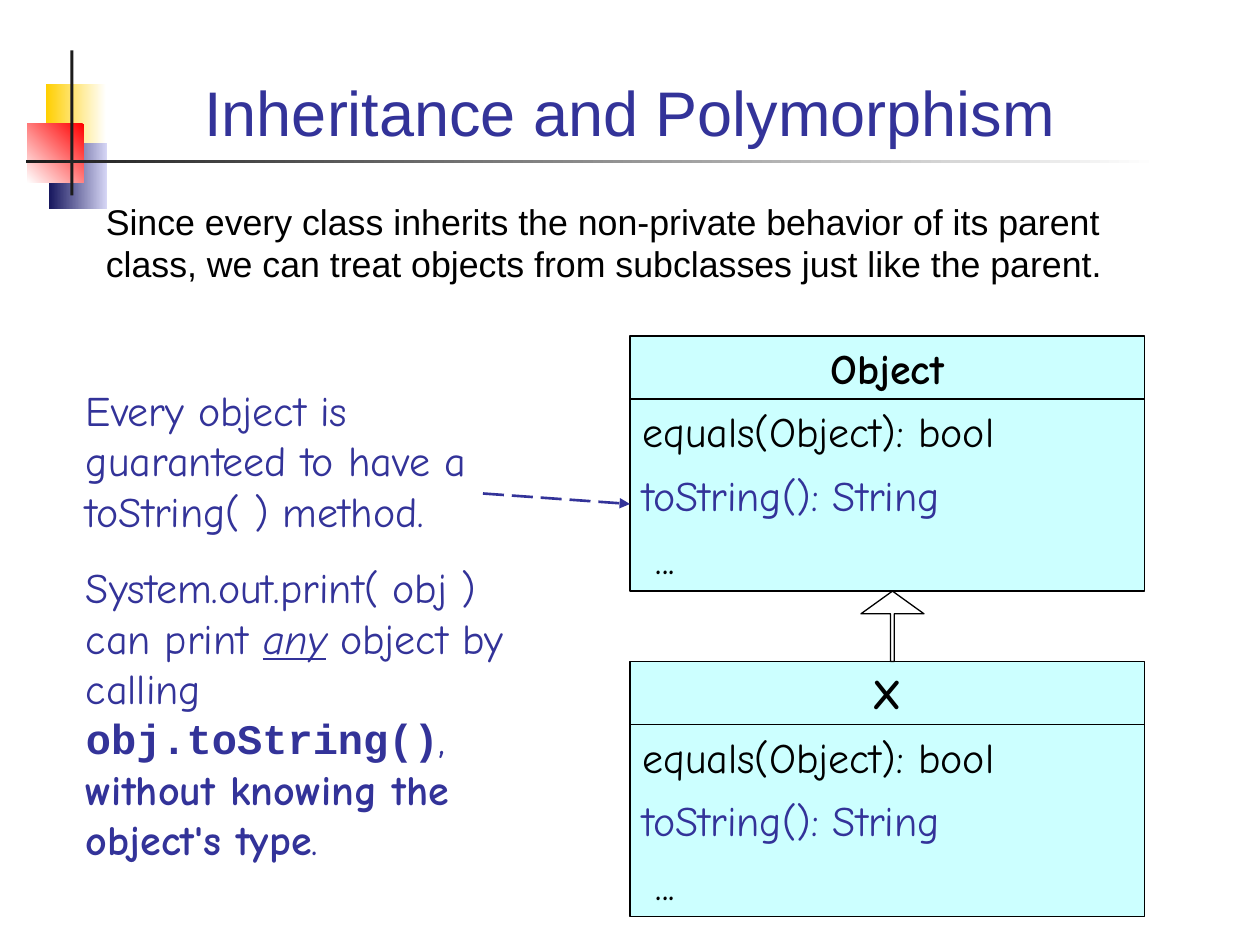
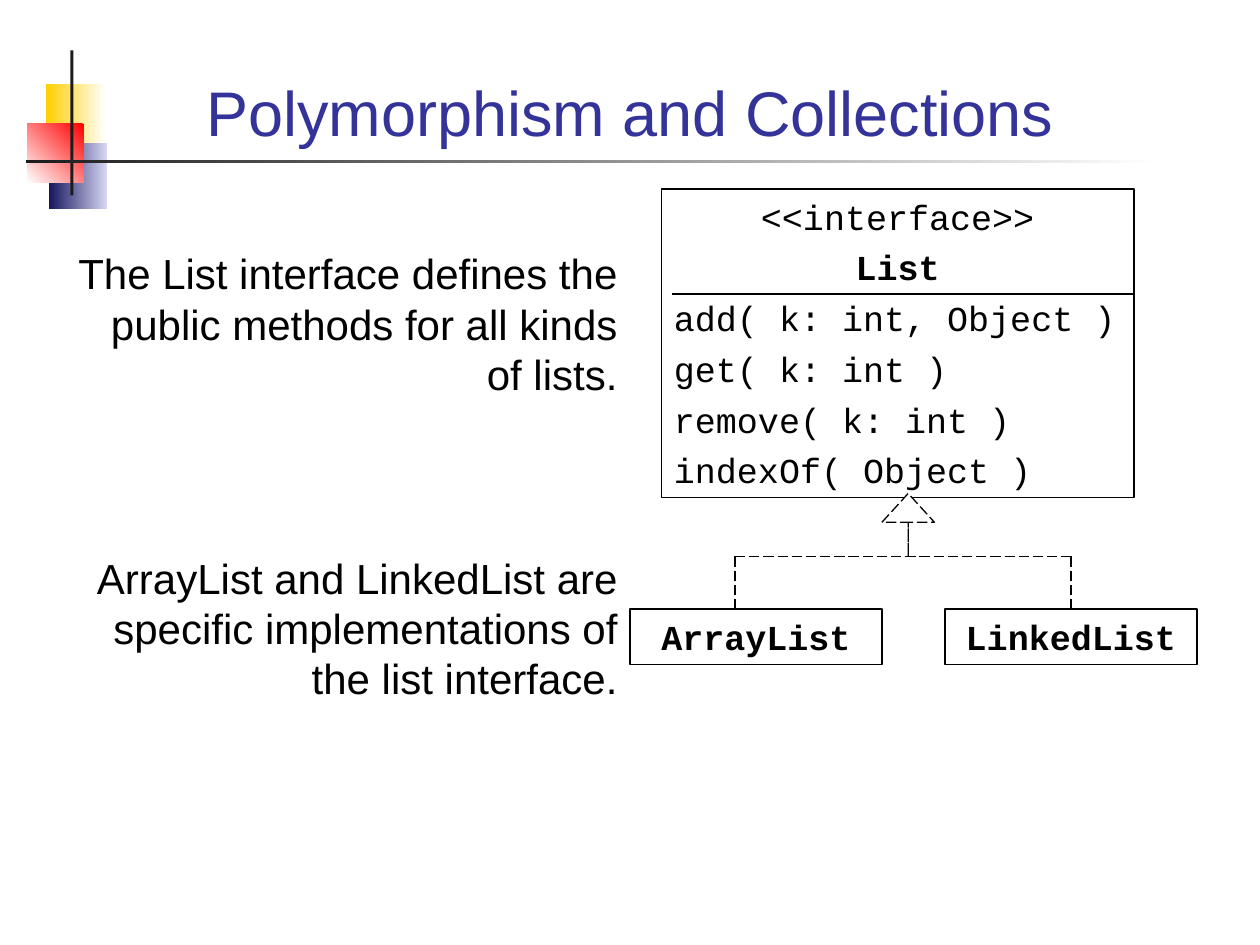
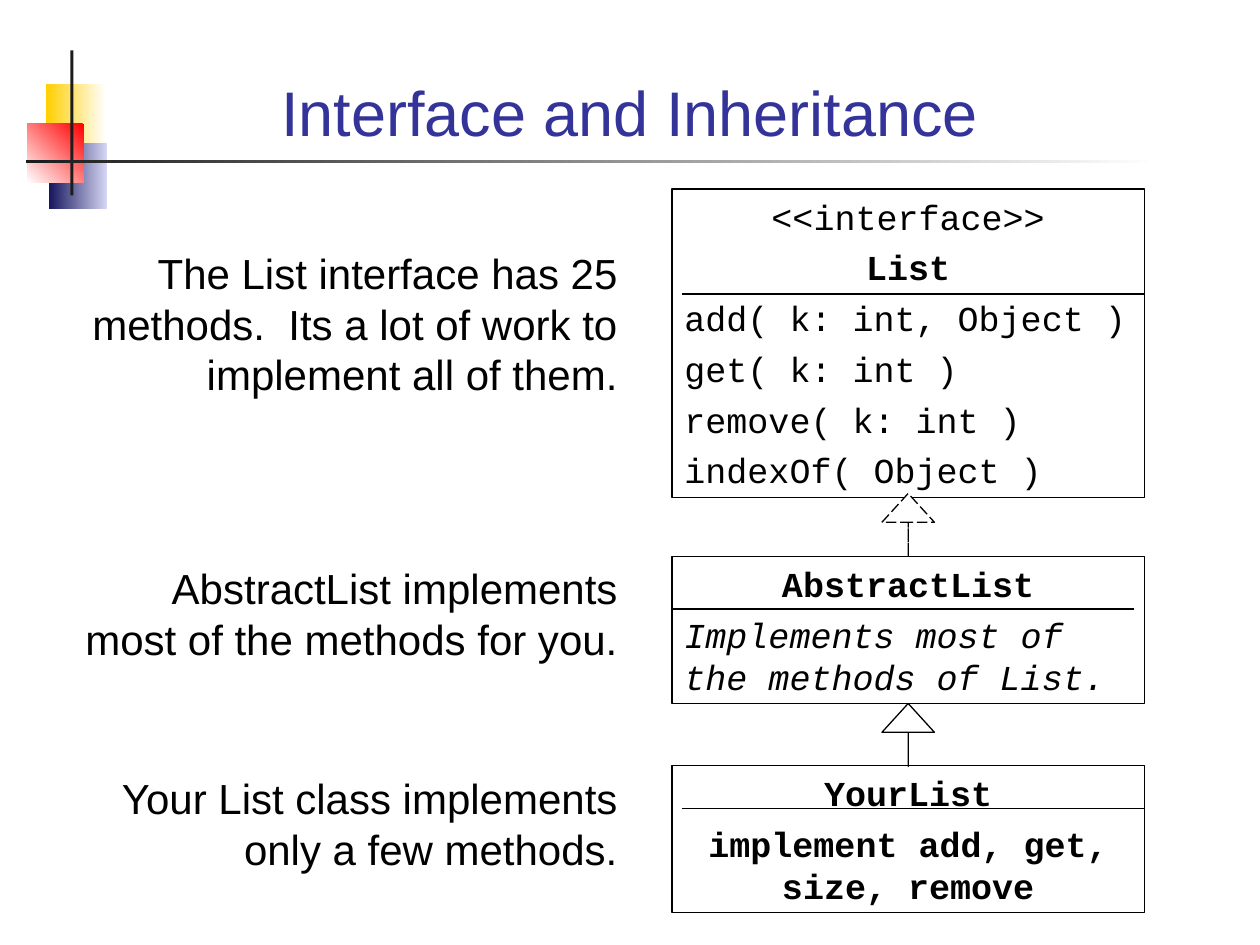
"""Build three slides on inheritance, interfaces and polymorphism."""
from collections import namedtuple
from lxml.etree import SubElement
from pptx import Presentation
from pptx.dml.color import RGBColor
from pptx.enum.dml import MSO_LINE
from pptx.enum.shapes import MSO_CONNECTOR, MSO_SHAPE
from pptx.enum.text import MSO_ANCHOR, MSO_AUTO_SIZE, PP_ALIGN
from pptx.oxml.ns import qn
from pptx.util import Pt

PX = 7620
Theme = namedtuple("Theme", "ink navy aqua white coal gold red blue pale sans hand mono head large small code lead")
look = Theme(
    ink="000000", navy="333399", aqua="CCFFFF", white="FFFFFF", coal="1C1C1C",
    gold="FFCF01", red="FF0000", blue="17175E", pale="D6D6F5",
    sans="Arial", hand="Comic Neue", mono="Courier New",
    head=36, large=24, small=20.4, code=20, lead=1.2,
)
LEFT, MID, RIGHT = PP_ALIGN.LEFT, PP_ALIGN.CENTER, PP_ALIGN.RIGHT


def draw(slide, area, fill=None, width=0, kind=MSO_SHAPE.RECTANGLE):
    """Add a flat shape with an optional fill and black outline."""
    shape = slide.shapes.add_shape(kind, *[n * PX for n in area])
    shape.shadow.inherit = False
    if fill:
        shape.fill.solid()
        shape.fill.fore_color.rgb = RGBColor.from_string(fill)
    else:
        shape.fill.background()
    if width:
        shape.line.width = Pt(width)
        shape.line.color.rgb = RGBColor.from_string(look.ink)
    else:
        shape.line.fill.background()
    return shape


def write(shape, text, face, size, tint=look.ink, align=LEFT, gap=0):
    """Fill a shape with evenly styled paragraphs and return them."""
    frame = shape.text_frame
    frame.text = text
    frame.word_wrap = True
    frame.auto_size = MSO_AUTO_SIZE.NONE
    frame.vertical_anchor = MSO_ANCHOR.TOP
    for i, para in enumerate(frame.paragraphs):
        para.alignment = align
        para.line_spacing = Pt(size * look.lead)
        para.space_before = Pt(gap if i else 0)
        para.font.name, para.font.size = face, Pt(size)
        for run in para.runs:
            run.font.name, run.font.size = face, Pt(size)
            run.font.color.rgb = RGBColor.from_string(tint)
    return frame.paragraphs


deck = Presentation()
deck.slide_width, deck.slide_height = 1200 * PX, 900 * PX
plan = deck.slide_layouts[5]
for spare in list(plan.placeholders)[1:]:
    spare.element.getparent().remove(spare.element)

pages = []
for name in ("Inheritance and Polymorphism", "Polymorphism and Collections", "Interface and Inheritance"):
    page = deck.slides.add_slide(plan)
    title = page.shapes.title
    title.left, title.top, title.width, title.height = [n * PX for n in (80, 34, 1040, 114)]
    write(title, name, look.sans, look.head, look.navy, MID)
    title.text_frame.vertical_anchor = MSO_ANCHOR.BOTTOM
    pages.append(page)
first, second, third = pages

bands = [
    ((44, 80, 57, 63), look.white, look.gold, 180),
    ((47, 136, 55, 63), look.pale, look.blue, 180),
    ((26, 118, 54, 56), look.red, look.white, 225),
    ((67, 48, 3, 138), look.coal, look.coal, 180),
    ((25, 152, 1079, 3), look.white, look.coal, 180),
]
for area, start, end, angle in bands:
    band = draw(first, area, start)
    if start != end:
        band.fill.gradient()
        band.fill.gradient_angle = angle
        for stop, tint, place in zip(band.fill.gradient_stops, (start, end), (0, 1)):
            stop.color.rgb = RGBColor.from_string(tint)
            stop.position = place
    plan.shapes.element.append(band.element)

texts = [
    (first, (89, 184, 1039, 100), look.small, LEFT,
     "Since every class inherits the non-private behavior of its parent class, "
     "we can treat objects from subclasses just like the parent."),
    (second, (60, 230, 540, 190), look.large, RIGHT,
     "The List interface defines the public methods for all kinds of lists."),
    (second, (60, 520, 540, 190), look.large, RIGHT,
     "ArrayList and LinkedList are specific implementations of the list interface."),
    (third, (60, 230, 540, 190), look.large, RIGHT,
     "The List interface has 25 methods.  Its a lot of work to implement all of them."),
    (third, (60, 530, 540, 130), look.large, RIGHT,
     "AbstractList implements most of the methods for you."),
    (third, (60, 730, 540, 130), look.large, RIGHT,
     "Your List class implements only a few methods."),
]
for page, area, size, align, text in texts:
    label = page.shapes.add_textbox(*[n * PX for n in area])
    write(label, text, look.sans, size, align=align)

note = first.shapes.add_textbox(*[n * PX for n in (70, 360, 470, 469)])
paras = write(
    note, "Every object is guaranteed to have a toString( ) method.\nSystem.out.print( obj ) can print ",
    look.hand, look.large, look.navy, gap=15)
tail = [
    ("any", look.hand, "iu"), (" ", look.hand, "i"), ("object by calling ", look.hand, ""),
    ("obj.toString()", look.mono, "b"), (", ", look.hand, ""),
    ("without knowing the object's type", look.hand, "b"), (".", look.hand, ""),
]
for text, face, marks in tail:
    run = paras[1].add_run()
    run.text = text
    run.font.name, run.font.size = face, Pt(look.large)
    run.font.color.rgb = RGBColor.from_string(look.navy)
    run.font.bold, run.font.italic, run.font.underline = ["b" in marks, "i" in marks, "u" in marks]

for name, top in (("Object", 320), ("X", 630)):
    card = draw(first, (600, top, 490, 243), look.aqua, 1)
    head, same, show, more = write(
        card, f"{name}\nequals(Object): bool\ntoString(): String\n...", look.hand, look.large, gap=7.5)
    head.alignment = MID
    head.runs[0].font.bold = True
    show.runs[0].font.color.rgb = RGBColor.from_string(look.navy)
    more._p.get_or_add_pPr().set("marL", str(13 * PX))

face = "<<interface>>\nList\nadd( k: int, Object )\nget( k: int )\nremove( k: int )\nindexOf( Object )"
cards = [
    (second, (630, 180, 450, 294), face, "c cb l l l l"),
    (second, (600, 580, 240, 53), "ArrayList", "cb"),
    (second, (900, 580, 240, 53), "LinkedList", "cb"),
    (third, (640, 180, 450, 294), face, "c cb l l l l"),
    (third, (640, 530, 450, 140), "AbstractList\nImplements most of the methods of List.", "cb i"),
    (third, (640, 729, 450, 140), "YourList\nimplement add, get, size, remove", "cb cb"),
]
for page, area, text, marks in cards:
    card = draw(page, area, width=0.75)
    for para, mark in zip(write(card, text, look.mono, look.code, gap=5), marks.split()):
        para.alignment = MID if "c" in mark else LEFT
        para.runs[0].font.bold = "b" in mark
        para.runs[0].font.italic = "i" in mark

rules = [
    (first, (600, 380, 1090, 380), False), (first, (600, 690, 1090, 690), False),
    (first, (460, 470, 600, 480), True),
    (second, (640, 280, 1080, 280), False), (second, (700, 530, 1020, 530), True),
    (second, (700, 530, 700, 580), True), (second, (1020, 530, 1020, 580), True),
    (third, (650, 280, 1090, 280), False), (third, (640, 580, 1080, 580), False),
    (third, (650, 770, 1090, 770), False),
]
for page, ends, dash in rules:
    rule = page.shapes.add_connector(MSO_CONNECTOR.STRAIGHT, *[n * PX for n in ends])
    hint = dash and page is first
    rule.line.width = Pt(1.5 if hint else 0.75)
    rule.line.color.rgb = RGBColor.from_string(look.navy if hint else look.ink)
    if dash:
        rule.line.dash_style = MSO_LINE.LONG_DASH
    if hint:
        SubElement(rule.line._get_or_add_ln(), qn("a:tailEnd"), type="triangle")
    SubElement(rule.element.spPr, qn("a:effectLst"))

arrows = [
    (first, (820, 563, 60, 67), 0.06, 0.36, False),
    (second, (840, 470, 50, 60), 0, 0.55, True),
    (third, (840, 470, 50, 60), 0, 0.55, True),
    (third, (840, 670, 50, 60), 0, 0.55, False),
]
for page, area, stem, tip, dash in arrows:
    arrow = draw(page, area, look.white, 0.75, MSO_SHAPE.UP_ARROW)
    arrow.adjustments[0], arrow.adjustments[1] = stem, tip
    if dash:
        arrow.line.dash_style = MSO_LINE.LONG_DASH

deck.save("out.pptx")
